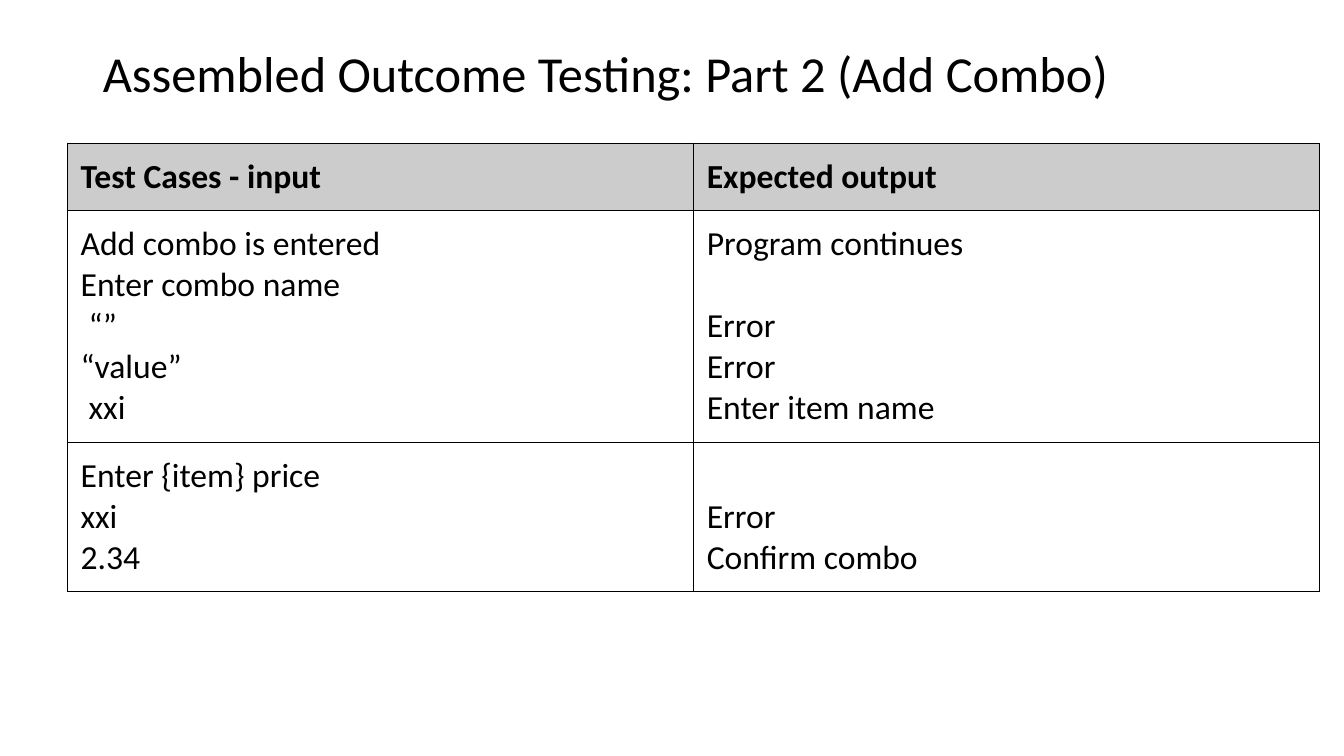
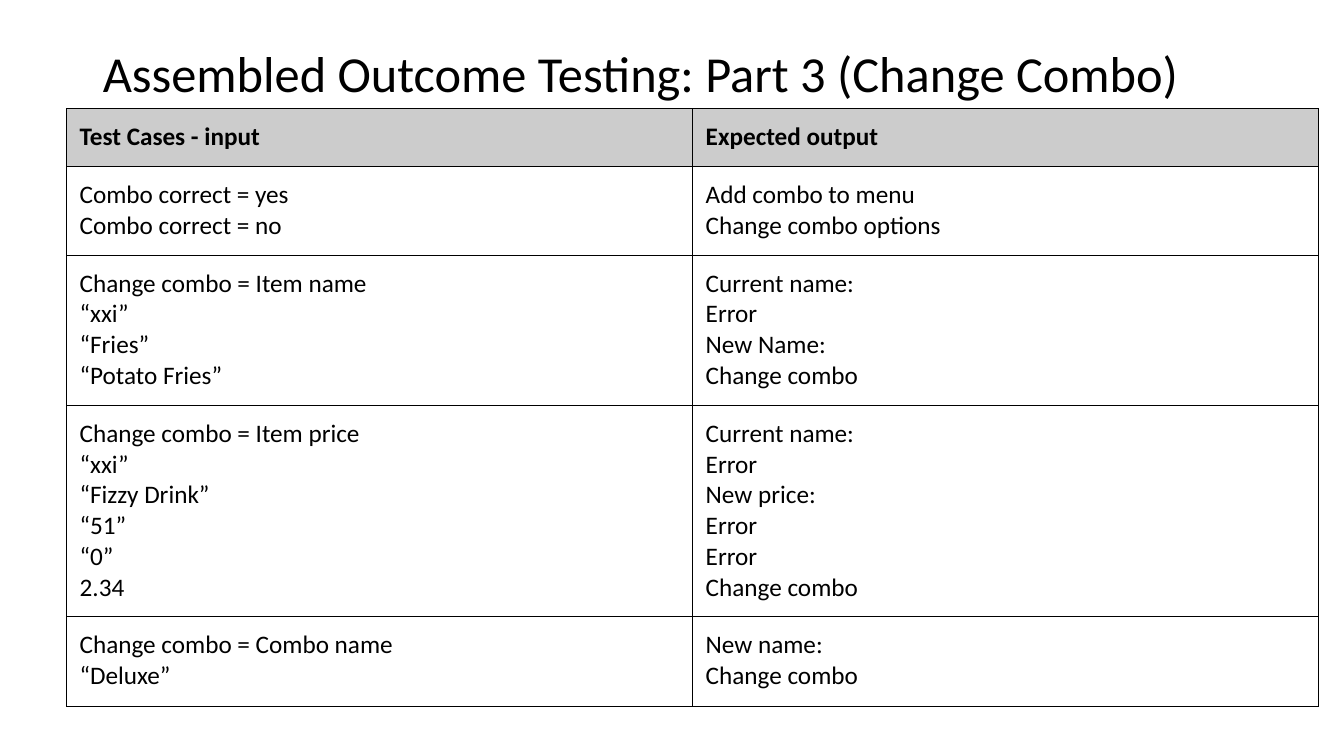
from pptx import Presentation
from pptx.dml.color import RGBColor
from pptx.enum.text import MSO_ANCHOR, MSO_AUTO_SIZE, PP_ALIGN
from pptx.oxml import parse_xml
from pptx.oxml.ns import nsdecls
from pptx.util import Inches, Pt

BLACK = RGBColor(0x00, 0x00, 0x00)
GREY = RGBColor(0xCC, 0xCC, 0xCC)
FONT = "Calibri"
LINE_HEIGHT = 1.22
MARGIN = 0.13
COL_WIDTH = 6.21
HEADER = ("Test Cases - input", "Expected output")

ADD_COMBO = [
    ("Add combo is entered\nEnter combo name\n “”\n“value”\n xxi",
     "Program continues\n\nError\nError\nEnter item name"),
    ("Enter {item} price\nxxi\n2.34",
     "\nError\nConfirm combo"),
]
CHANGE_COMBO = [
    ("Combo correct = yes\nCombo correct = no",
     "Add combo to menu\nChange combo options"),
    ("Change combo = Item name\n“xxi”\n“Fries”\n“Potato Fries”",
     "Current name:\nError\nNew Name:\nChange combo"),
    ("Change combo = Item price\n“xxi”\n“Fizzy Drink”\n“51”\n“0”\n2.34",
     "Current name:\nError\nNew price:\nError\nError\nChange combo"),
    ("Change combo = Combo name\n“Deluxe”",
     "New name:\nChange combo"),
]


class Deck:
    """Holds the shared style and the slide being built."""

    def __init__(self):
        """Start a widescreen presentation."""
        self.prs = Presentation()
        self.prs.slide_width = Inches(13.33)
        self.prs.slide_height = Inches(7.5)
        self.s = None

    def style(self, p, size, bold=False):
        """Format the runs of a paragraph."""
        for r in p.runs:
            r.font.name = FONT
            r.font.size = Pt(size)
            r.font.bold = bold
            r.font.color.rgb = BLACK

    def slide(self, title):
        """Add a slide with its title."""
        self.s = self.prs.slides.add_slide(self.prs.slide_layouts[5])
        sp = self.s.shapes.title
        sp.left, sp.top = Inches(0.92), Inches(0.44)
        sp.width, sp.height = Inches(11.5), Inches(0.64)
        tf = sp.text_frame
        tf.text = title
        tf.word_wrap = True
        tf.auto_size = MSO_AUTO_SIZE.NONE
        tf.vertical_anchor = MSO_ANCHOR.MIDDLE
        p = tf.paragraphs[0]
        p.alignment = PP_ALIGN.LEFT
        p.line_spacing = 0.9
        self.style(p, 36)

    def borders(self, cell):
        """Draw a thin black line on each side of a cell."""
        tc_pr = cell._tc.get_or_add_tcPr()
        for side in ("lnL", "lnR", "lnT", "lnB"):
            tc_pr.append(parse_xml(
                f'<a:{side} {nsdecls("a")} w="{Pt(0.75)}"><a:solidFill>'
                f'<a:srgbClr val="{BLACK}"/></a:solidFill></a:{side}>'))

    def cell(self, cell, text, size, header):
        """Fill a cell, turning empty lines into spacing and leading spaces into indents."""
        cell.margin_left = cell.margin_right = Inches(MARGIN)
        cell.margin_top = cell.margin_bottom = Inches(MARGIN)
        self.borders(cell)
        if header:
            cell.fill.solid()
            cell.fill.fore_color.rgb = GREY
        else:
            cell.fill.background()
        tf = cell.text_frame
        p, gap = None, 0
        for line in text.split("\n"):
            if not line:
                gap += size * LINE_HEIGHT
                continue
            if p is None:
                p = tf.paragraphs[0]
                cell.margin_top += Pt(gap)
            else:
                p = tf.add_paragraph()
                p.space_before = Pt(gap)
            gap = 0
            p.text = line.lstrip()
            if line.startswith(" "):
                p._p.get_or_add_pPr().set("marL", str(Inches(0.08)))
            self.style(p, size, header)

    def table(self, left, top, heights, rows, size):
        """Add a table of test cases under the shared header."""
        rows = [HEADER, *rows]
        frame = self.s.shapes.add_table(
            len(rows), len(HEADER), Inches(left), Inches(top),
            Inches(COL_WIDTH * len(HEADER)), Inches(sum(heights)))
        table = frame.table
        table.first_row = table.horz_banding = False
        for column in table.columns:
            column.width = Inches(COL_WIDTH)
        for i, (height, texts) in enumerate(zip(heights, rows)):
            table.rows[i].height = Inches(height)
            for j, text in enumerate(texts):
                self.cell(table.cell(i, j), text, size, i == 0)


def main():
    """Build and save both slides."""
    deck = Deck()
    deck.slide("Assembled Outcome Testing: Part 2 (Add Combo)")
    deck.table(0.67, 1.42, [0.67, 2.3, 1.48], ADD_COMBO, 24)
    deck.slide("Assembled Outcome Testing: Part 3 (Change Combo)")
    deck.table(0.66, 1.08, [0.57, 0.88, 1.49, 2.1, 0.89], CHANGE_COMBO, 18)
    deck.prs.save("out.pptx")


if __name__ == "__main__":
    main()
